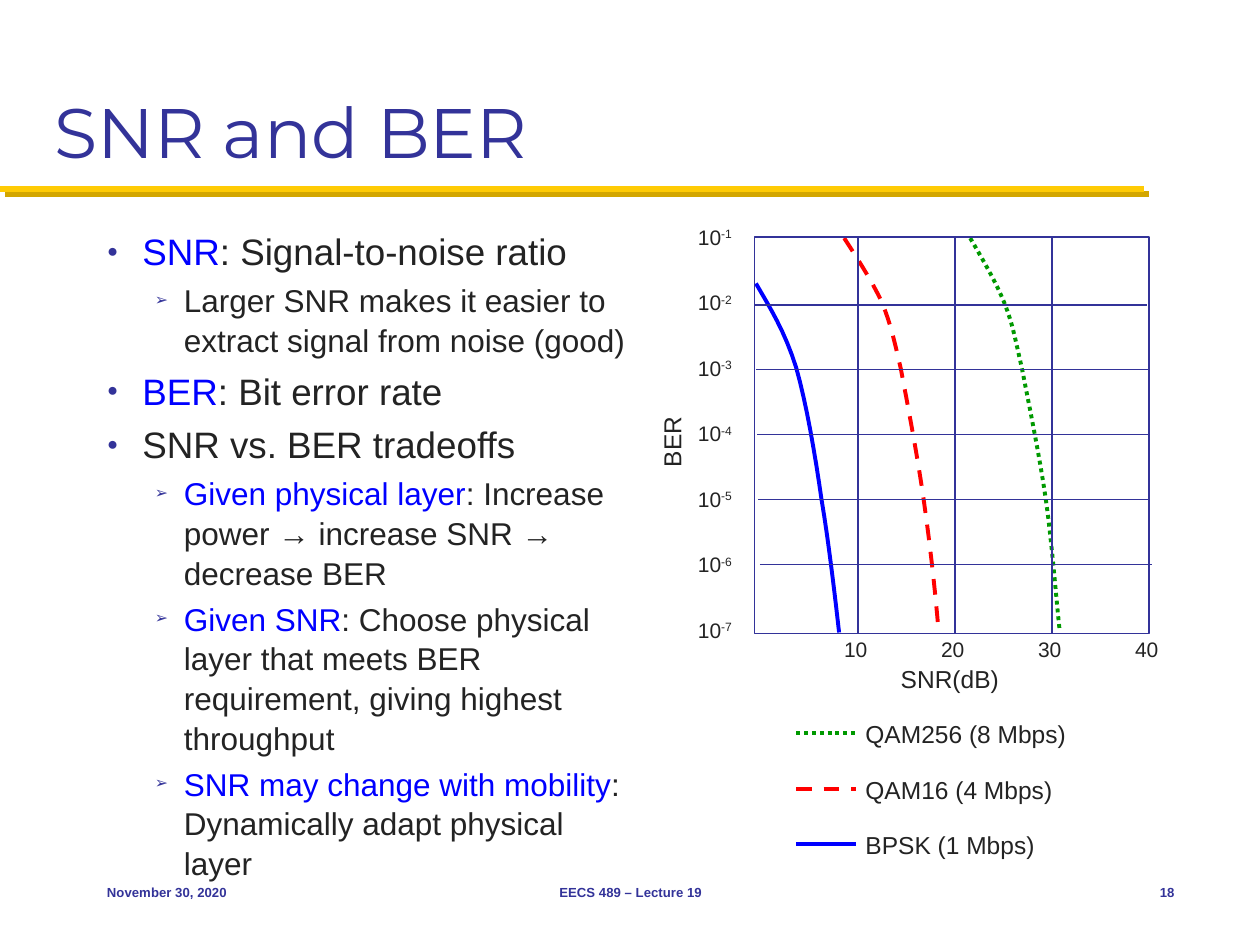
"""Build the SNR and BER slide with its bullet list and error-rate plot."""
from lxml.etree import SubElement
from pptx import Presentation
from pptx.dml.color import RGBColor
from pptx.enum.dml import MSO_LINE
from pptx.enum.shapes import MSO_CONNECTOR, MSO_SHAPE
from pptx.enum.text import MSO_ANCHOR, MSO_AUTO_SIZE, PP_ALIGN
from pptx.oxml.ns import qn
from pptx.util import Inches, Pt

NAVY = RGBColor(0x33, 0x33, 0x99)
INK = RGBColor(0x23, 0x23, 0x23)
BLUE = RGBColor(0x00, 0x00, 0xFF)
RED = RGBColor(0xFF, 0x00, 0x00)
GREEN = RGBColor(0x00, 0x99, 0x00)
GOLD = RGBColor(0xFF, 0xCB, 0x05)
DARK_GOLD = RGBColor(0xD3, 0xA6, 0x00)

presentation = Presentation()
presentation.slide_width = Inches(10)
presentation.slide_height = Inches(7.5)
slide = presentation.slides.add_slide(presentation.slide_layouts[1])


def add_rule(x1, y1, x2, y2, color, width, dash=None):
    rule = slide.shapes.add_connector(
        MSO_CONNECTOR.STRAIGHT, Inches(x1), Inches(y1), Inches(x2), Inches(y2))
    rule.line.color.rgb = color
    rule.line.width = Pt(width)
    if dash:
        rule.line.dash_style = dash
    return rule, SubElement(rule._element.spPr, qn("a:effectLst"))


def add_label(left, top, width, height, text, size, color=INK, exponent=""):
    label = slide.shapes.add_textbox(
        Inches(left), Inches(top), Inches(width), Inches(height))
    label.text_frame.word_wrap = False
    label.text_frame.text = text
    paragraph = label.text_frame.paragraphs[0]
    if exponent:
        power = paragraph.add_run()
        power.text = exponent
        power._r.get_or_add_rPr().set("baseline", "30000")
    for run in paragraph.runs:
        run.font.name = "Arial"
        run.font.size = Pt(size)
        run.font.color.rgb = color
    return label


underline, effects = add_rule(0, 1.5, 9.08, 1.5, GOLD, 3.5)
shadow = SubElement(effects, qn("a:outerShdw"), dist=str(Pt(4.2)),
                    dir="2700000", algn="ctr", rotWithShape="0")
SubElement(shadow, qn("a:srgbClr"), val=str(DARK_GOLD))

heading = slide.shapes.title
heading.left, heading.top = Inches(0.33), Inches(0.17)
heading.width, heading.height = Inches(9.33), Inches(1.25)
heading.text_frame.text = "SNR and BER"
heading.text_frame.auto_size = MSO_AUTO_SIZE.NONE
heading.text_frame.vertical_anchor = MSO_ANCHOR.BOTTOM
heading_line = heading.text_frame.paragraphs[0]
heading_line.alignment = PP_ALIGN.LEFT
heading_font = heading_line.runs[0].font
heading_font.name = "Montserrat"
heading_font.size = Pt(40)
heading_font.color.rgb = NAVY

POINTS = [
    (0, "SNR", ": Signal-to-noise ratio"),
    (1, "", "Larger SNR makes it easier to extract signal from noise (good)"),
    (0, "BER", ": Bit error rate"),
    (0, "", "SNR vs. BER tradeoffs"),
    (1, "Given physical layer", ": Increase power → increase SNR → decrease BER"),
    (1, "Given SNR",
     ": Choose physical layer that meets BER requirement, giving highest throughput"),
    (1, "SNR may change with mobility", ": Dynamically adapt physical layer"),
]
LEVELS = [(0.28, 0.28, "●", 21), (0.61, 0.23, "➢", 18)]

points = slide.placeholders[1]
points.left, points.top = Inches(0.75), Inches(1.75)
points.width, points.height = Inches(4.35), Inches(4.83)
points.text_frame.auto_size = MSO_AUTO_SIZE.NONE
for index, (level, term, explanation) in enumerate(POINTS):
    margin, hanging, bullet, size = LEVELS[level]
    point = points.text_frame.paragraphs[0] if index == 0 else points.text_frame.add_paragraph()
    point.level = level
    point.line_spacing = 1.05
    point.space_before = Pt(size * 0.2) if index else Pt(0)
    properties = point._p.get_or_add_pPr()
    properties.set("marL", str(Inches(margin)))
    properties.set("indent", str(-Inches(hanging)))
    bullet_color = SubElement(properties, qn("a:buClr"))
    SubElement(bullet_color, qn("a:srgbClr"), val=str(NAVY))
    SubElement(properties, qn("a:buSzPct"), val="50000")
    SubElement(properties, qn("a:buFont"), typeface="Arial")
    SubElement(properties, qn("a:buChar"), char=bullet)
    for text, color in ((term, BLUE), (explanation, INK)):
        if text:
            run = point.add_run()
            run.text = text
            run.font.name = "Arial"
            run.font.size = Pt(size)
            run.font.color.rgb = color

CURVES = [
    (BLUE, None, [
        (6, 2.25), (6.11, 2.44), (6.23, 2.63), (6.32, 2.92), (6.4, 3.2),
        (6.47, 3.61), (6.52, 3.96), (6.58, 4.31), (6.64, 4.84), (6.66, 5.02)]),
    (RED, MSO_LINE.DASH, [
        (6.7, 1.89), (6.81, 2.06), (6.92, 2.23), (7, 2.4), (7.07, 2.58),
        (7.09, 2.67), (7.15, 2.93), (7.2, 3.19), (7.28, 3.61), (7.33, 3.96),
        (7.38, 4.31), (7.42, 4.66), (7.45, 5.02)]),
    (GREEN, MSO_LINE.ROUND_DOT, [
        (7.7, 1.89), (7.8, 2.06), (7.9, 2.23), (7.97, 2.4), (8.04, 2.58),
        (8.05, 2.66), (8.11, 2.92), (8.16, 3.18), (8.25, 3.61), (8.3, 3.96),
        (8.35, 4.31), (8.39, 4.83), (8.41, 5)]),
]
STEPS = 8
for color, dash, controls in CURVES:
    outline = []
    for start in range(0, len(controls) - 1, 3):
        bezier = controls[start:start + 4]
        for step in range(1, STEPS + 1):
            t = step / STEPS
            weights = ((1 - t) ** 3, 3 * t * (1 - t) ** 2, 3 * t * t * (1 - t), t ** 3)
            outline.append(tuple(
                Inches(sum(w * c[axis] for w, c in zip(weights, bezier)))
                for axis in (0, 1)))
    builder = slide.shapes.build_freeform(Inches(controls[0][0]), Inches(controls[0][1]))
    builder.add_line_segments(outline, close=False)
    curve = builder.convert_to_shape()
    curve.shadow.inherit = False
    curve.fill.background()
    curve.line.color.rgb = color
    curve.line.width = Pt(2.25)
    if dash:
        curve.line.dash_style = dash

plot_frame = slide.shapes.add_shape(
    MSO_SHAPE.RECTANGLE, Inches(5.99), Inches(1.88), Inches(3.13), Inches(3.15))
plot_frame.shadow.inherit = False
plot_frame.fill.background()
plot_frame.line.color.rgb = NAVY
plot_frame.line.width = Pt(0.75)

for row in range(5):
    left, y = 5.99 + 0.01 * row, 2.42 + 0.515 * row
    add_rule(left, y, left + 3.11, y, NAVY, 0.75)
for column in range(3):
    x = 6.81 + 0.77 * column
    add_rule(x, 1.88, x, 5.03, NAVY, 0.75)

for column in range(4):
    add_label(6.6 + 0.77 * column, 5, 0.39, 0.3, str(10 * (column + 1)), 12)
for row in range(7):
    add_label(5.44, 1.73 + 0.52 * row, 0.48, 0.3, "10", 12, exponent=f"-{row + 1}")
add_label(7.05, 5.22, 1.01, 0.34, "SNR(dB)", 14)
add_label(5.03, 3.33, 0.61, 0.34, "BER", 14).rotation = 270

LEGEND = [("BPSK (1 Mbps)", 1.61), ("QAM16 (4 Mbps)", 1.73), ("QAM256 (8 Mbps)", 1.84)]
for row, ((color, dash, _), (scheme, width)) in enumerate(zip(CURVES, LEGEND)):
    y = 6.7 - 0.44 * row
    add_rule(6.32, y, 6.79, y, color, 2.25, dash)
    add_label(6.77, y - 0.16, width, 0.34, scheme, 14)

FOOTERS = [
    (0.75, 2.08, "November 30, 2020", PP_ALIGN.LEFT),
    (3.42, 3.17, "EECS 489 – Lecture 19", PP_ALIGN.CENTER),
    (8.75, 0.67, "18", PP_ALIGN.RIGHT),
]
for left, width, text, alignment in FOOTERS:
    footer = add_label(left, 6.83, width, 0.5, text, 7.5, NAVY).text_frame
    footer.word_wrap = True
    footer.vertical_anchor = MSO_ANCHOR.MIDDLE
    footer.paragraphs[0].alignment = alignment
    footer.paragraphs[0].runs[0].font.bold = True

presentation.save("out.pptx")
